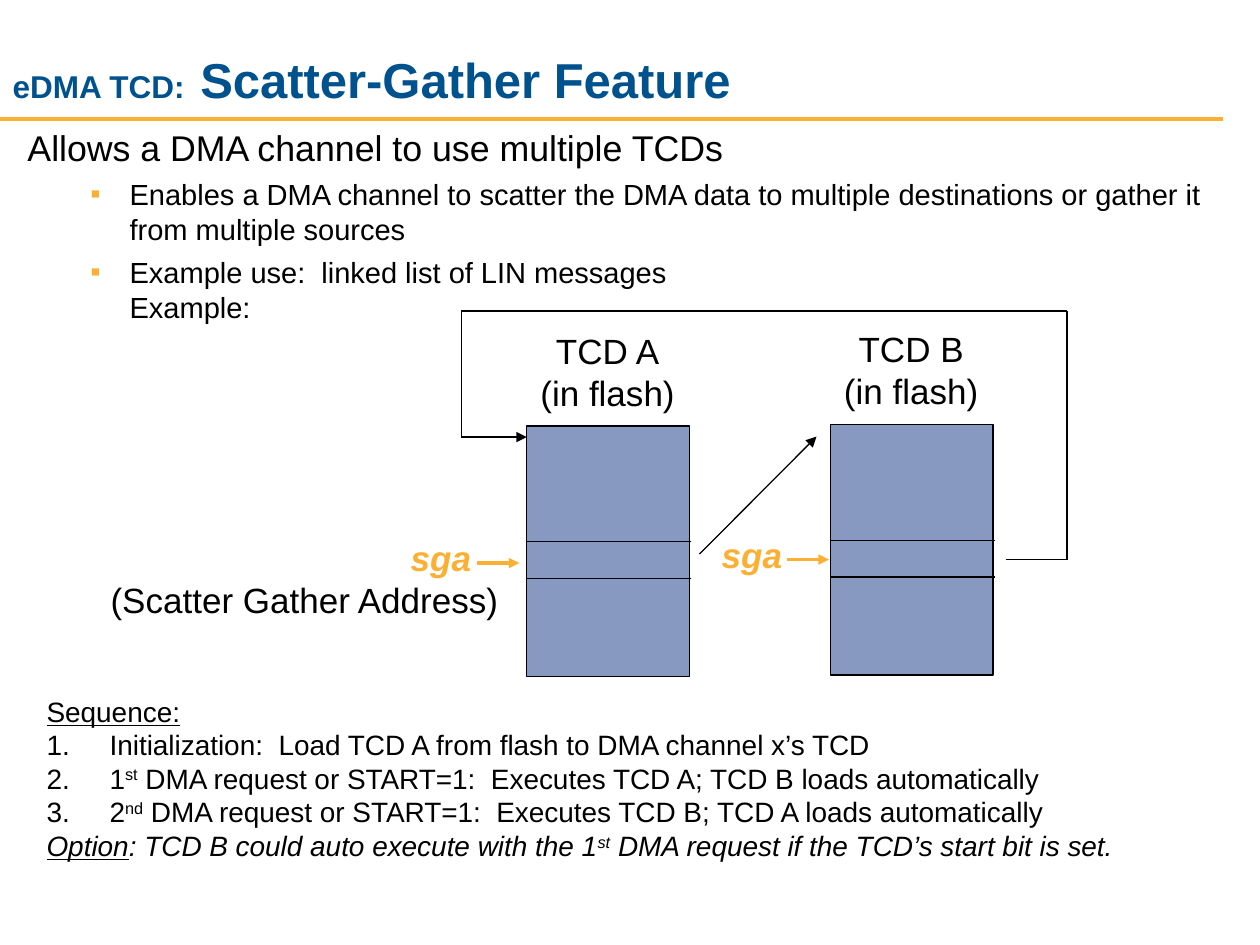
"""Build the slide on the scatter-gather feature of the eDMA TCD."""
from lxml import etree
from pptx import Presentation
from pptx import util as u
from pptx.dml.color import RGBColor
from pptx.enum import shapes, text
from pptx.oxml.ns import qn

BLACK = RGBColor(0x00, 0x00, 0x00)
AMBER = RGBColor(0xFB, 0xB0, 0x34)
NAVY = RGBColor(0x00, 0x52, 0x8E)
STEEL = RGBColor(0x87, 0x99, 0xC1)
LEFT, CENTER = text.PP_ALIGN.LEFT, text.PP_ALIGN.CENTER


class Sheet:
    """Holds the style and the current slide."""

    face = "Arial"

    def __init__(self, deck):
        self.page = deck.slides.add_slide(deck.slide_layouts[1])

    def place(self, box, left, top, width, height):
        box.left, box.top = u.Cm(left), u.Cm(top)
        box.width, box.height = u.Cm(width), u.Cm(height)
        box.text_frame.auto_size = text.MSO_AUTO_SIZE.NONE
        return box.text_frame

    def title(self, *bounds):
        frame = self.place(self.page.shapes.title, *bounds)
        frame.vertical_anchor = text.MSO_ANCHOR.BOTTOM
        return frame

    def body(self, *bounds):
        return self.place(self.page.placeholders[1], *bounds)

    def textbox(self, *bounds, wrap=True):
        box = self.page.shapes.add_textbox(0, 0, 0, 0)
        frame = self.place(box, *bounds)
        frame.word_wrap = wrap
        return frame

    def paragraph(self, frame, spans, size, color=BLACK, align=LEFT, bold=False,
                  italic=False, margin=0, hang=0, before=0, level=0,
                  bullet=None, number=False):
        first = frame.paragraphs[0]
        para = frame.add_paragraph() if first.runs else first
        para.level = level
        props = para._p.get_or_add_pPr()
        props.set("marL", str(u.Cm(margin)))
        props.set("indent", str(u.Cm(-hang)))
        if bullet:
            tint = etree.SubElement(props, qn("a:buClr"))
            etree.SubElement(tint, qn("a:srgbClr"), val=str(AMBER))
            etree.SubElement(props, qn("a:buFont"), typeface=self.face)
            etree.SubElement(props, qn("a:buChar"), char=bullet)
        elif number:
            etree.SubElement(props, qn("a:buFont"), typeface=self.face)
            etree.SubElement(props, qn("a:buAutoNum"), type="arabicPeriod")
        else:
            etree.SubElement(props, qn("a:buNone"))
        para.alignment, para.space_before = align, u.Pt(before)
        font = para.font
        font.name, font.size, font.color.rgb = self.face, u.Pt(size), color
        font.bold, font.italic = bold, italic
        if isinstance(spans, str):
            para.text = spans
            return
        for words, style in spans:
            span = para.add_run()
            span.text = words
            if style == "underline":
                span.font.underline = True
            elif style == "super":
                span._r.get_or_add_rPr().set("baseline", "30000")
            elif style:
                span.font.size = u.Pt(style)

    def line(self, x1, y1, x2, y2, color=BLACK, width=0.75, arrow=False):
        line = self.page.shapes.add_connector(
            shapes.MSO_CONNECTOR.STRAIGHT, u.Cm(x1), u.Cm(y1), u.Cm(x2), u.Cm(y2))
        line.line.color.rgb, line.line.width = color, u.Pt(width)
        if arrow:
            etree.SubElement(line.line._get_or_add_ln(), qn("a:tailEnd"), type="triangle")
        etree.SubElement(line._element.spPr, qn("a:effectLst"))

    def descriptor(self, name, left, top):
        width = 3.28
        block = self.page.shapes.add_shape(
            shapes.MSO_SHAPE.RECTANGLE, u.Cm(left), u.Cm(top), u.Cm(width), u.Cm(5.05))
        block.shadow.inherit = False
        block.fill.solid()
        block.fill.fore_color.rgb = STEEL
        block.line.color.rgb, block.line.width = BLACK, u.Pt(0.75)
        caption = self.textbox(left + 0.03, top - 2.08, 3.2, 1.96, wrap=False)
        self.paragraph(caption, f"{name}\n(in flash)", 20, align=CENTER)
        for drop in (2.33, 3.07):
            self.line(left, top + drop, left + width + 0.03, top + drop)


def main():
    deck = Presentation()
    deck.slide_width, deck.slide_height = u.Cm(25.4), u.Cm(19.05)
    sheet = Sheet(deck)

    sheet.line(0, 2.39, 24.66, 2.39, AMBER, 2.25)
    heading = sheet.title(0, 0.48, 21.69, 1.85)
    sheet.paragraph(heading, [("eDMA TCD:", 18), (" ", 32), ("Scatter-Gather Feature", None)],
                    28, NAVY, bold=True)

    points = sheet.body(0.3, 2.41, 24.31, 4.29)
    sheet.paragraph(points, "Allows a DMA channel to use multiple TCDs", 20.4,
                    margin=0.97, hang=0.97)
    for point in (
        "Enables a DMA channel to scatter the DMA data to multiple destinations "
        "or gather it from multiple sources",
        "Example use:  linked list of LIN messages\nExample:",
    ):
        sheet.paragraph(points, point, 16.6, margin=2.06, hang=0.79, before=4.5,
                        level=1, bullet="▪")

    sheet.descriptor("TCD A", 10.62, 8.59)
    sheet.descriptor("TCD B", 16.74, 8.56)

    address = sheet.textbox(1.98, 10.69, 8.5, 1.96)
    sheet.paragraph(address, "sga", 20, AMBER, bold=True, italic=True, margin=6.05)
    sheet.paragraph(address, "(Scatter Gather Address)", 20)
    pointer = sheet.textbox(14.3, 10.64, 1.73, 1.12, wrap=False)
    sheet.paragraph(pointer, "sga", 20, AMBER, bold=True, italic=True)
    for start, height in ((9.62, 11.35), (15.86, 11.28)):
        sheet.line(start, height, start + 0.85, height, AMBER, 2, arrow=True)

    sheet.line(14.1, 11.17, 16.46, 8.8, arrow=True)
    sheet.line(20.27, 11.28, 21.51, 11.28)
    sheet.line(21.51, 11.28, 21.51, 6.27)
    sheet.line(21.51, 6.27, 9.3, 6.27)
    sheet.line(9.3, 6.27, 9.3, 8.81)
    sheet.line(9.3, 8.81, 10.62, 8.81, arrow=True)

    sequence = sheet.textbox(0.69, 13.87, 24.23, 3.66)
    sheet.paragraph(sequence, [("Sequence:", "underline")], 16, margin=1.27, hang=1.27)
    request = " DMA request or START=1:  Executes "
    for step in (
        "Initialization:  Load TCD A from flash to DMA channel x’s TCD",
        [("1", None), ("st", "super"), (request + "TCD A; TCD B loads automatically", None)],
        [("2", None), ("nd", "super"), (request + "TCD B; TCD A loads automatically", None)],
    ):
        sheet.paragraph(sequence, step, 16, margin=1.27, hang=1.27, number=True)
    sheet.paragraph(sequence, [
        ("Option", "underline"),
        (": TCD B could auto execute with the 1", None),
        ("st", "super"),
        (" DMA request if the TCD’s start bit is set.", None),
    ], 16, italic=True, margin=1.27, hang=1.27)

    deck.save("out.pptx")


if __name__ == "__main__":
    main()
